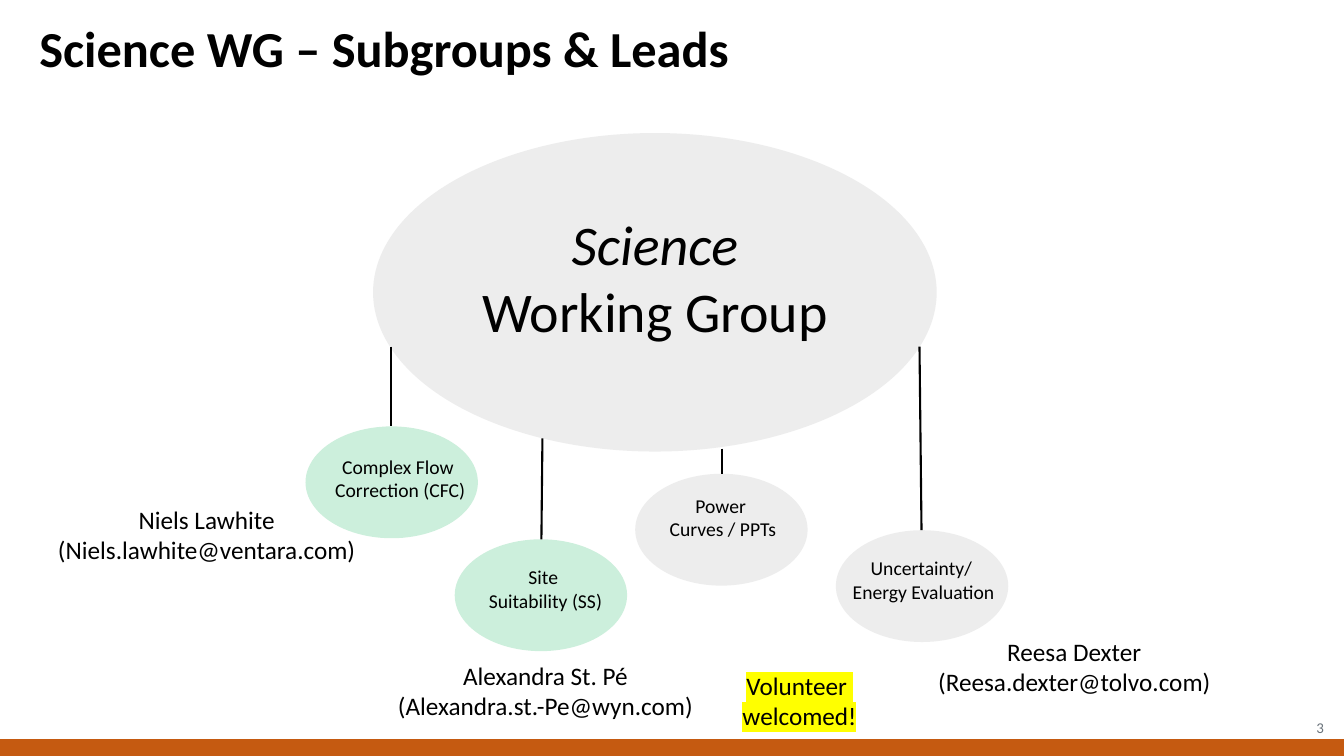
from dataclasses import dataclass

from lxml import etree
from pptx import Presentation
from pptx import util as u
from pptx.dml.color import RGBColor
from pptx.enum import shapes, text
from pptx.oxml import ns

FONT = "Calibri"
BLACK, GREY, GREEN = "000000", "A6A6A6", "00B050"
BUBBLE_SIZE = (1.71, 1.11)
ALIGN, ANCHOR = text.PP_ALIGN, text.MSO_ANCHOR


@dataclass
class Label:
    lines: str
    box: tuple[float, float, float, float]
    size: float = 18
    wrap: bool = True
    color: str = BLACK
    align: ALIGN = ALIGN.CENTER
    anchor: ANCHOR = ANCHOR.TOP
    highlight: str = ""


@dataclass
class Subgroup:
    corner: tuple[float, float]
    fill: str
    stem_start: tuple[float, float]
    stem_end: tuple[float, float]
    label: Label


def inches(values: tuple) -> list:
    return [u.Inches(value) for value in values]


def rgb(color: str) -> RGBColor:
    return RGBColor.from_string(color)


def add_filled(slide, kind, box: tuple, fill: str, opacity: int = 100):
    shape = slide.shapes.add_shape(kind, *inches(box))
    shape.shadow.inherit = False
    shape.fill.solid()
    shape.fill.fore_color.rgb = rgb(fill)
    shape.line.fill.background()
    if opacity < 100:
        color = shape.fill._xPr.find(".//" + ns.qn("a:srgbClr"))
        etree.SubElement(color, ns.qn("a:alpha"), val=str(opacity * 1000))
    return shape


def add_stem(slide, start: tuple, end: tuple) -> None:
    stem = slide.shapes.add_connector(
        shapes.MSO_CONNECTOR.STRAIGHT, *inches(start + end))
    stem.line.color.rgb = rgb(BLACK)
    stem.line.width = u.Pt(1.5)
    etree.SubElement(stem._element.spPr, ns.qn("a:effectLst"))


def add_label(slide, label: Label):
    frame = slide.shapes.add_textbox(*inches(label.box)).text_frame
    frame.word_wrap = label.wrap
    frame.vertical_anchor = label.anchor
    frame.text = label.lines
    for paragraph in frame.paragraphs:
        paragraph.alignment = label.align
        for run in paragraph.runs:
            run.font.size = u.Pt(label.size)
            run.font.color.rgb = rgb(label.color)
            run.font.name = FONT
            if label.highlight:
                marker = etree.Element(ns.qn("a:highlight"))
                etree.SubElement(marker, ns.qn("a:srgbClr"), val=label.highlight)
                run.font._element.find(ns.qn("a:latin")).addprevious(marker)
    return frame


SUBGROUPS = [
    Subgroup((3.03, 4.23), GREEN, (3.88, 3.44), (3.88, 4.23),
             Label("Complex Flow \nCorrection (CFC)", (3.08, 4.46, 1.78, 0.87), 14, False)),
    Subgroup((4.51, 5.35), GREEN, (5.38, 4.35), (5.37, 5.35),
             Label("Site \nSuitability (SS)", (4.62, 5.56, 1.58, 0.61), 14, False)),
    Subgroup((6.3, 4.7), GREY, (7.16, 4.45), (7.16, 4.7),
             Label("Power \nCurves / PPTs", (6.42, 4.85, 1.5, 0.61), 14, False)),
    Subgroup((8.29, 5.26), GREY, (9.12, 3.44), (9.14, 5.26),
             Label("Uncertainty/ \nEnergy Evaluation", (8.2, 5.47, 1.92, 0.61), 14, False)),
]

LEADS = [
    Label("Alexandra St. Pé\n(Alexandra.st.-Pe@wyn.com)", (3.81, 6.5, 3.2, 0.71), wrap=False),
    Label("Niels Lawhite\n(Niels.lawhite@ventara.com)", (0.38, 4.95, 3.34, 0.71)),
    Label("Reesa Dexter\n(Reesa.dexter@tolvo.com)", (9.15, 6.26, 3.01, 0.71), wrap=False),
    Label("Volunteer \nwelcomed!", (6.26, 6.6, 3.34, 0.71), highlight="FFFF00"),
]


def main() -> None:
    deck = Presentation()
    deck.slide_width, deck.slide_height = inches((13.33, 7.5))
    slide = deck.slides.add_slide(deck.slide_layouts[6])

    # Page number and footer band
    add_label(slide, Label("3", (12.67, 7.02, 0.56, 0.4), 10.7, color="6A737B",
                           align=ALIGN.RIGHT, anchor=ANCHOR.MIDDLE))
    footer = add_filled(slide, shapes.MSO_SHAPE.RECTANGLE,
                        (-0.05, 7.32, 13.42, 0.25), "C55A11")
    footer.line.color.rgb = rgb("FFFFFF")
    footer.line.width = u.Pt(1)

    # Title
    title = add_label(slide, Label("Science WG – Subgroups & Leads", (0, 0.05, 11.35, 0.92),
                                   36, align=ALIGN.LEFT, anchor=ANCHOR.MIDDLE))
    title.margin_left = u.Inches(0.39)
    title.paragraphs[0].line_spacing = 0.9
    title.paragraphs[0].runs[0].font.bold = True

    # Working group
    add_filled(slide, shapes.MSO_SHAPE.OVAL, (3.7, 1.32, 5.59, 3.16), GREY, 20)
    group = add_label(slide, Label("Science\nWorking Group", (3.72, 2.03, 5.55, 1.45), 40))
    group.paragraphs[0].runs[0].font.italic = True

    # Subgroups hanging from the working group
    for subgroup in SUBGROUPS:
        add_filled(slide, shapes.MSO_SHAPE.OVAL, subgroup.corner + BUBBLE_SIZE,
                   subgroup.fill, 20)
        add_stem(slide, subgroup.stem_start, subgroup.stem_end)
        add_label(slide, subgroup.label)

    # Subgroup leads
    for lead in LEADS:
        add_label(slide, lead)

    deck.save("out.pptx")


if __name__ == "__main__":
    main()
